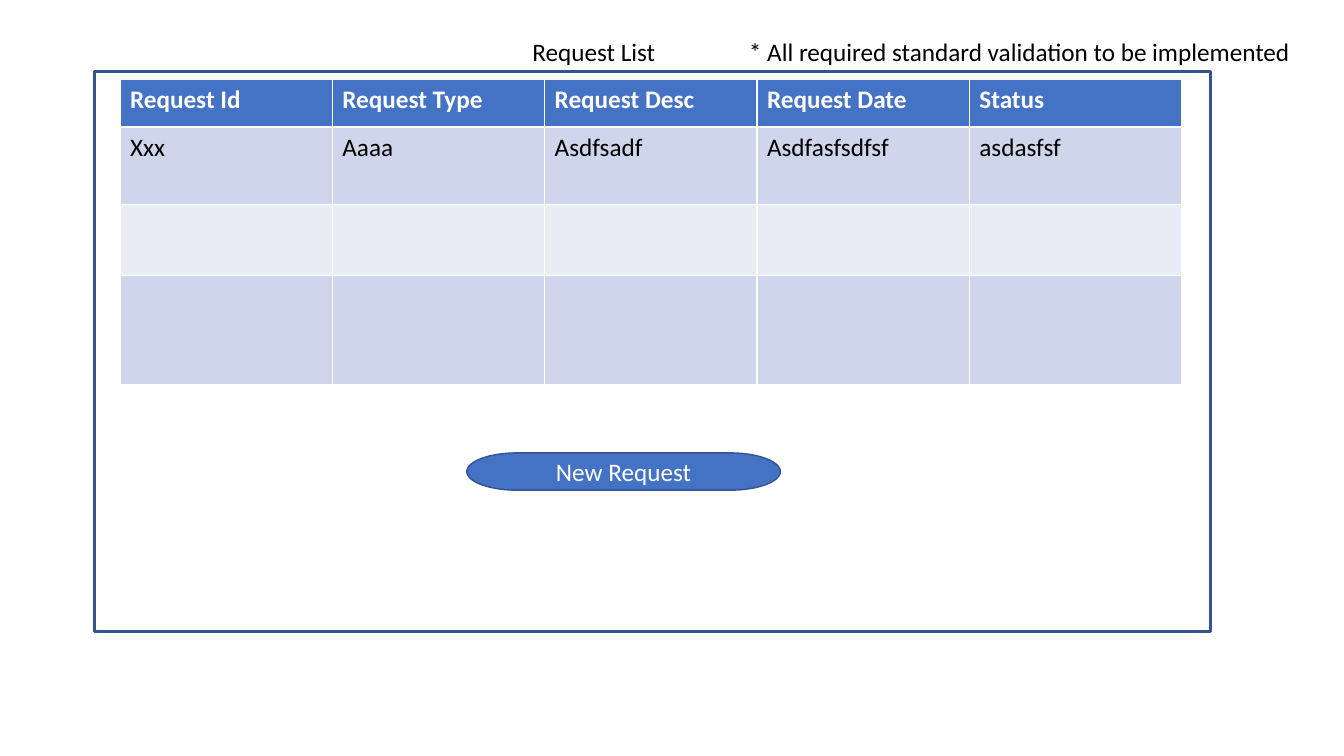
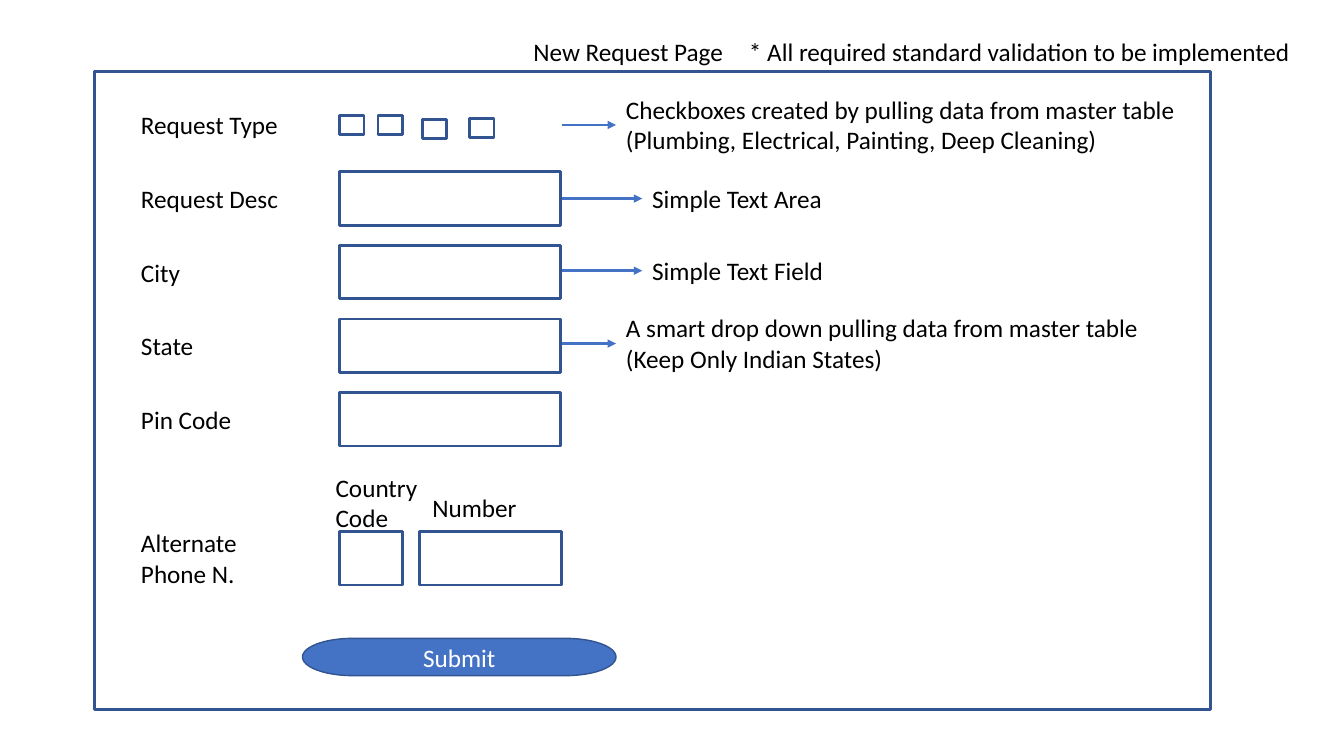
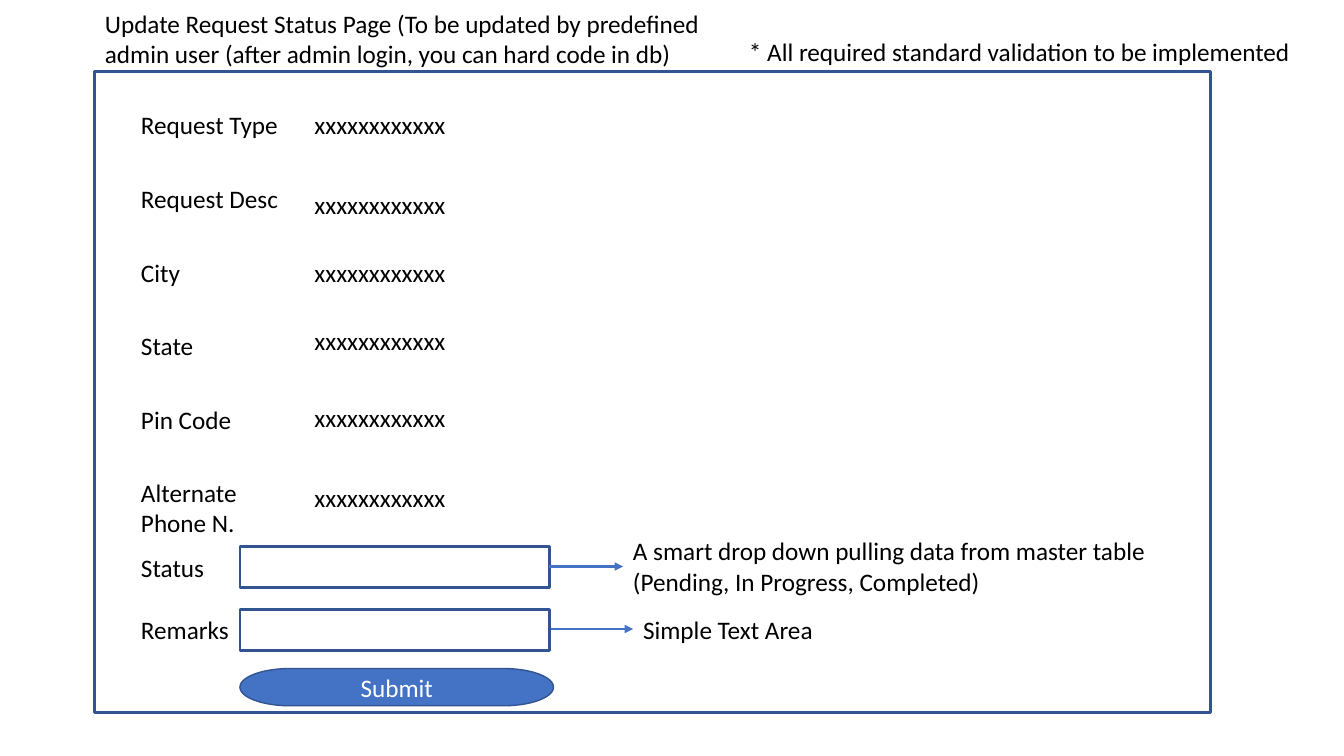
import pptx
import pptx.util
import pptx.dml.color
import pptx.enum.shapes
import pptx.enum.text
import pptx.oxml
import pptx.oxml.ns

Inch = pptx.util.Inches
Pt = pptx.util.Pt
RGB = pptx.dml.color.RGBColor
Kind = pptx.enum.shapes.MSO_SHAPE
Align = pptx.enum.text.PP_ALIGN
Anchor = pptx.enum.text.MSO_ANCHOR
Fit = pptx.enum.text.MSO_AUTO_SIZE

BLUE = RGB(0x44, 0x72, 0xC4)
NAVY = RGB(0x32, 0x54, 0x91)
BLACK = RGB(0, 0, 0)
WHITE = RGB(255, 255, 255)
DARK = RGB(0xCF, 0xD5, 0xEA)
PALE = RGB(0xE9, 0xEB, 0xF5)

FONT, SIZE = "Calibri", 18
LEFT, TOP, WIDE = 0.94, 0.71, 11.07  # frame shared by all slides
FIRST, ROW = 0.53, 0.73  # centre of row 0 below the frame top, row pitch
LINE, PAIR = 0.4, 0.71  # heights of one and two lines of text
NAMES = ["Request Type", "Request Desc", "City", "State", "Pin Code"]
PHONE = "Alternate Phone N."
RULE = "* All required standard validation to be implemented"

deck = pptx.Presentation()
deck.slide_width, deck.slide_height = Inch(13.33), Inch(7.5)


def mid(row):
    """Height on the slide of the centre of a grid row."""
    return TOP + FIRST + ROW * row


def spot(x, row, w, h):
    """Box with its left edge x inside the frame, centred on a row."""
    return [Inch(n) for n in (LEFT + x, mid(row) - h / 2, w, h)]


def write(frame, words, color=BLACK, bold=False, align=Align.LEFT):
    para = frame.paragraphs[0]
    para.alignment = align
    run = para.add_run()
    run.text = words
    font = run.font
    font.name, font.size, font.bold = FONT, Pt(SIZE), bold
    font.color.rgb = color


def text(slide, words, x, row, w, h=LINE, wrap=True):
    frame = slide.shapes.add_textbox(*spot(x, row, w, h)).text_frame
    frame.word_wrap = wrap
    write(frame, words)


def shape(slide, kind, box, width, fill=None):
    item = slide.shapes.add_shape(kind, *box)
    item.shadow.inherit = False
    item.line.color.rgb, item.line.width = NAVY, Pt(width)
    if fill is None:
        item.fill.background()
    else:
        item.fill.solid()
        item.fill.fore_color.rgb = fill
    return item


def field(slide, x, row, w, h=0.53):
    shape(slide, Kind.RECTANGLE, spot(x, row, w, h), 2)


def button(slide, words, x, row):
    box = spot(x, row, 3.11, 0.37)
    frame = shape(slide, Kind.FLOWCHART_TERMINATOR, box, 1, BLUE).text_frame
    frame.vertical_anchor = Anchor.MIDDLE
    write(frame, words, WHITE, align=Align.CENTER)


def hint(slide, words, start, end, row, h=LINE):
    """Arrow from a field to the remark on it."""
    y = Inch(mid(row))
    arrow = slide.shapes.add_connector(
        pptx.enum.shapes.MSO_CONNECTOR.STRAIGHT,
        Inch(LEFT + start), y, Inch(LEFT + end), y)
    arrow.line.color.rgb, arrow.line.width = BLUE, Pt(2)
    tail = pptx.oxml.parse_xml(
        '<a:tailEnd %s type="triangle"/>' % pptx.oxml.ns.nsdecls("a"))
    arrow.line._get_or_add_ln().append(tail)
    arrow._element.spPr.append(pptx.oxml.parse_xml(
        "<a:effectLst %s/>" % pptx.oxml.ns.nsdecls("a")))
    text(slide, words, end, row, 5.64, h)


def page(title, x, w, tall, row=-1, h=LINE):
    """Slide with its title, validation rule and frame."""
    slide = deck.slides.add_slide(deck.slide_layouts[5])
    head = slide.shapes.title
    head.left, head.top, head.width, head.height = spot(x, row, w, h)
    frame = head.text_frame
    frame.word_wrap, frame.auto_size = True, Fit.NONE
    frame.vertical_anchor = Anchor.TOP
    write(frame, title)
    text(slide, RULE, 6.39, -1, 5.68)
    box = [Inch(n) for n in (LEFT, TOP, WIDE, tall)]
    shape(slide, Kind.RECTANGLE, box, 2)
    return slide


def labels(slide, rows):
    for name, row in rows:
        h = PAIR if name == PHONE else LINE
        text(slide, name, 0.36, row, 1.72, h)


def grid(slide, x, y, wide, highs, data):
    """Table of requests under a header row."""
    cols = len(data[0])
    table = slide.shapes.add_table(
        len(highs), cols, Inch(LEFT + x), Inch(TOP + y),
        Inch(wide), Inch(sum(highs))).table
    for r, high in enumerate(highs):
        table.rows[r].height = Inch(high)
        for c in range(cols):
            cell = table.cell(r, c)
            cell.fill.solid()
            cell.fill.fore_color.rgb = (
                BLUE if r == 0 else DARK if r % 2 else PALE)
            if r < len(data):
                write(cell.text_frame, data[r][c],
                      BLACK if r else WHITE, bold=r == 0)


def roster():
    slide = page("Request List", 4.24, 2.01, 5.56)
    grid(slide, 0.25, 0.08, 10.53, [0.47, 0.77, 0.7, 1.09], [
        ["Request Id", "Request Type", "Request Desc", "Request Date",
         "Status"],
        ["Xxx", "Aaaa", "Asdfsadf", "Asdfasfsdfsf", "asdasfsf"]])
    button(slide, "New Request", 3.69, 4.71)


def entry():
    slide = page("New Request Page", 4.25, 2.57, 6.33)
    phone = 5.89
    labels(slide, [*zip(NAMES, range(5)), (PHONE, phone)])
    # Checkboxes and fields
    for x, row in [(2.43, 0), (2.81, 0), (3.25, 0.05), (3.72, 0.04)]:
        field(slide, x, row, 0.24, 0.19)
    for row in range(1, 5):
        field(slide, 2.43, row, 2.19)
    field(slide, 2.43, phone, 0.62)
    field(slide, 3.22, phone, 1.41)
    text(slide, "Country Code", 2.29, 5.14, 1.12, PAIR)
    text(slide, "Number", 3.25, 5.2, 1.12)
    # Remarks
    near, far = 5.17, 5.43
    for words, end, row, h in [
        ("Checkboxes created by pulling data from master table "
         "(Plumbing, Electrical, Painting, Deep Cleaning)", near, 0, PAIR),
        ("Simple Text Area", far, 1, LINE),
        ("Simple Text Field", far, 1.98, LINE),
        ("A smart drop down pulling data from master table "
         "(Keep Only Indian States)", near, 2.97, PAIR),
    ]:
        hint(slide, words, 4.63, end, row, h)
    button(slide, "Submit", 2.06, 7.23)


def update():
    slide = page("Update Request Status Page (To be updated by predefined "
                 "admin user (after admin login, you can hard code in db)",
                 0, 6.66, 6.36, -1.17, PAIR)
    state, note = 6.01, 6.86
    labels(slide, [*zip(NAMES, range(5)), (PHONE, 5.2),
                   ("Status", state), ("Remarks", note)])
    for row in (0, 1.08, 2, 2.93, 3.97, 5.06):
        text(slide, "x" * 12, 2.08, row, 1.51, wrap=False)
    # Editable fields
    for row in (state, note):
        field(slide, 1.44, row, 3.07, 0.41)
    hint(slide, "A smart drop down pulling data from master table "
         "(Pending, In Progress, Completed)", 4.51, 5.24, 6, PAIR)
    hint(slide, "Simple Text Area", 4.53, 5.34, 6.85)
    button(slide, "Submit", 1.44, 7.64)


roster()
entry()
update()
deck.save("out.pptx")
